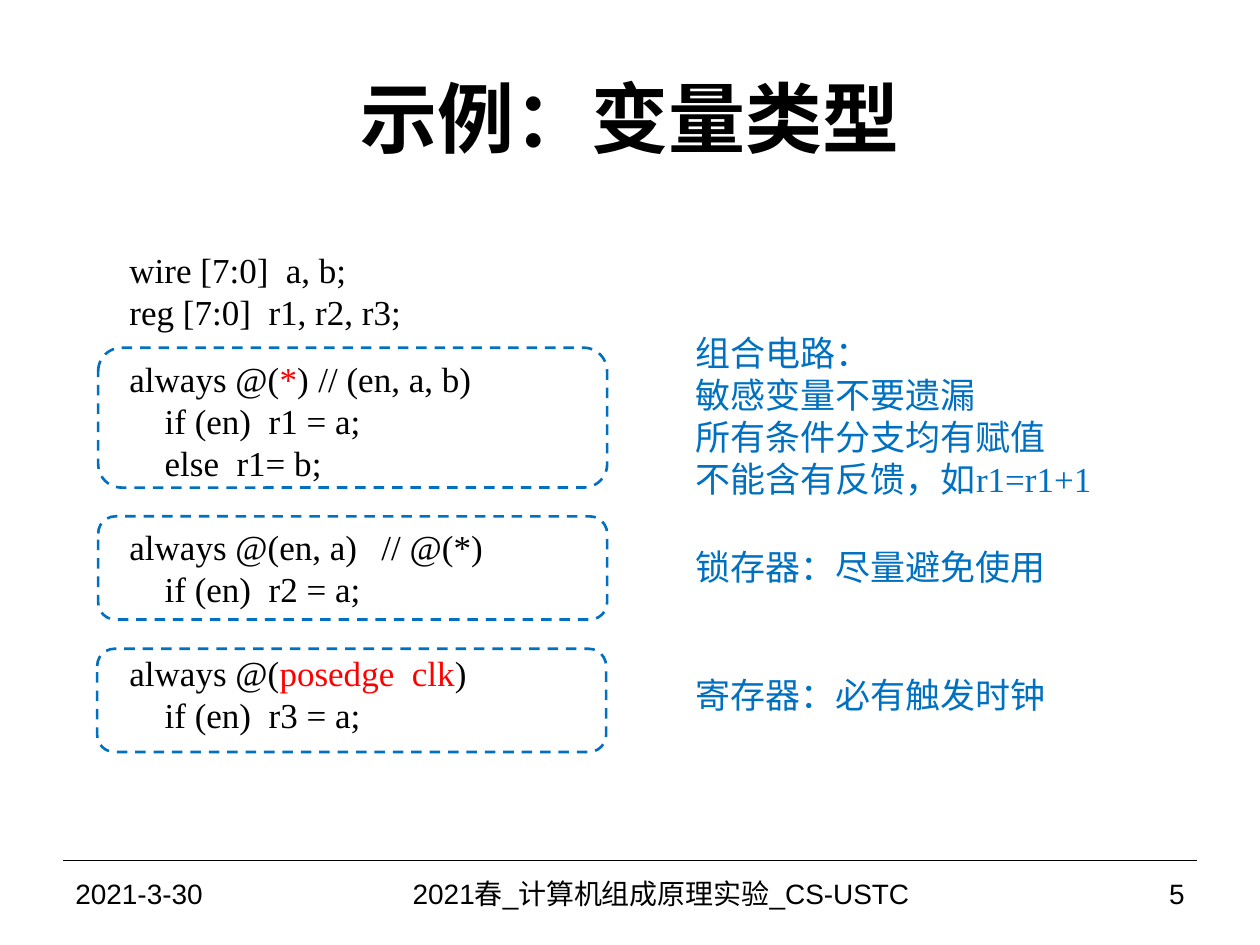
from pptx import Presentation
from pptx.dml.color import RGBColor
from pptx.enum import dml, shapes, text
from pptx.oxml import parse_xml
from pptx.util import Cm, Pt

BLACK = RGBColor(0, 0, 0)
RED = RGBColor(255, 0, 0)
BLUE = RGBColor(0, 0x70, 0xC0)
SERIF, SANS = "Times New Roman", "Arial"
LEFT, MID, RIGHT = text.PP_ALIGN.LEFT, text.PP_ALIGN.CENTER, text.PP_ALIGN.RIGHT
NS = "http://schemas.openxmlformats.org/drawingml/2006/main"

# Content: each code line is (gap before in points, indented, runs); red runs are (text,)
TITLE = "示例：变量类型"
CODE = [
    (0, False, ["wire [7:0]  a, b;"]),
    (0, False, ["reg [7:0]  r1, r2, r3;"]),
    (14.5, False, ["always @(", ("*",), ")\t// (en, a, b)"]),
    (0, True, ["if (en)  r1 = a;"]),
    (0, True, ["else  r1= b;"]),
    (24, False, ["always @(en, a) \t// @(*)"]),
    (0, True, ["if (en)  r2 = a;"]),
    (24, False, ["always @(", ("posedge  clk",), ")"]),
    (0, True, ["if (en)  r3 = a;"]),
]
# Notes: top, height, lines
NOTES = [
    (6.55, 4.19, ["组合电路：", "敏感变量不要遗漏", "所有条件分支均有赋值",
                  "不能含有反馈，如r1=r1+1"]),
    (10.87, 1.32, ["锁存器：尽量避免使用"]),
    (13.46, 1.32, ["寄存器：必有触发时钟"]),
]
# Frames round the code blocks: left, top, height
FRAMES = [(1.98, 7.01, 2.82), (1.98, 10.41, 2.08), (1.96, 13.08, 2.08)]
# Footer: left, width, alignment, text
FOOT = [
    (1.27, 5.92, LEFT, "2021-3-30"),
    (7.19, 12.27, MID, "2021春_计算机组成原理实验_CS-USTC"),
    (19.46, 4.67, RIGHT, "5"),
]
FOOT_TOP = 17.35


def write(frame, lines, size=20, font=SERIF, color=BLACK, bold=False,
          align=LEFT, pitch=None, anchor=text.MSO_ANCHOR.TOP):
    """Fill a text frame with (gap, indented, runs) lines."""
    frame.word_wrap = True
    frame.vertical_anchor = anchor
    for i, (gap, deep, runs) in enumerate(lines):
        para = frame.add_paragraph() if i else frame.paragraphs[0]
        para.alignment = align
        para.space_before = Pt(gap)
        if pitch:
            para.line_spacing = Pt(pitch)
        if deep:
            para._p.get_or_add_pPr().set("marL", str(Cm(0.71)))
        for part in runs:
            red = isinstance(part, tuple)
            run = para.add_run()
            run.text = part[0] if red else part
            run.font.size, run.font.name, run.font.bold = Pt(size), font, bold
            run.font.color.rgb = RED if red else color


def box(slide, x, y, w, h):
    return slide.shapes.add_textbox(Cm(x), Cm(y), Cm(w), Cm(h)).text_frame


def main():
    deck = Presentation()
    deck.slide_width, deck.slide_height = Cm(25.4), Cm(19.05)
    slide = deck.slides.add_slide(deck.slide_layouts[5])

    # Title
    title = slide.shapes.title
    title.left, title.top, title.width, title.height = (
        Cm(1.27), Cm(0.76), Cm(22.86), Cm(3.18))
    write(title.text_frame, [(0, False, [TITLE])], size=44, font=SANS,
          bold=True, align=MID, anchor=text.MSO_ANCHOR.MIDDLE)

    # Footer rule
    rule = slide.shapes.add_connector(
        shapes.MSO_CONNECTOR.STRAIGHT,
        Cm(1.27), Cm(FOOT_TOP), Cm(24.13), Cm(FOOT_TOP))
    rule.line.color.rgb, rule.line.width = BLACK, Pt(0.75)
    rule._element.spPr.append(parse_xml(f'<a:effectLst xmlns:a="{NS}"/>'))

    # Code
    write(box(slide, 2.36, 4.88, 10.69, 10.31), CODE, pitch=24)

    # Dashed frames
    for x, y, h in FRAMES:
        frame = slide.shapes.add_shape(
            shapes.MSO_SHAPE.ROUNDED_RECTANGLE, Cm(x), Cm(y), Cm(10.26), Cm(h))
        frame.shadow.inherit = False
        frame.fill.background()
        frame.line.color.rgb, frame.line.width = BLUE, Pt(1.5)
        frame.line.dash_style = dml.MSO_LINE.DASH

    # Notes
    for y, h, lines in NOTES:
        write(box(slide, 13.77, y, 10.21, h),
              [(0, False, [line]) for line in lines], color=BLUE, pitch=24)

    # Footer
    for x, w, align, words in FOOT:
        write(box(slide, x, FOOT_TOP, w, 1.32), [(0, False, [words])], size=16,
              font=SANS, align=align, anchor=text.MSO_ANCHOR.MIDDLE)

    deck.save("out.pptx")


if __name__ == "__main__":
    main()
